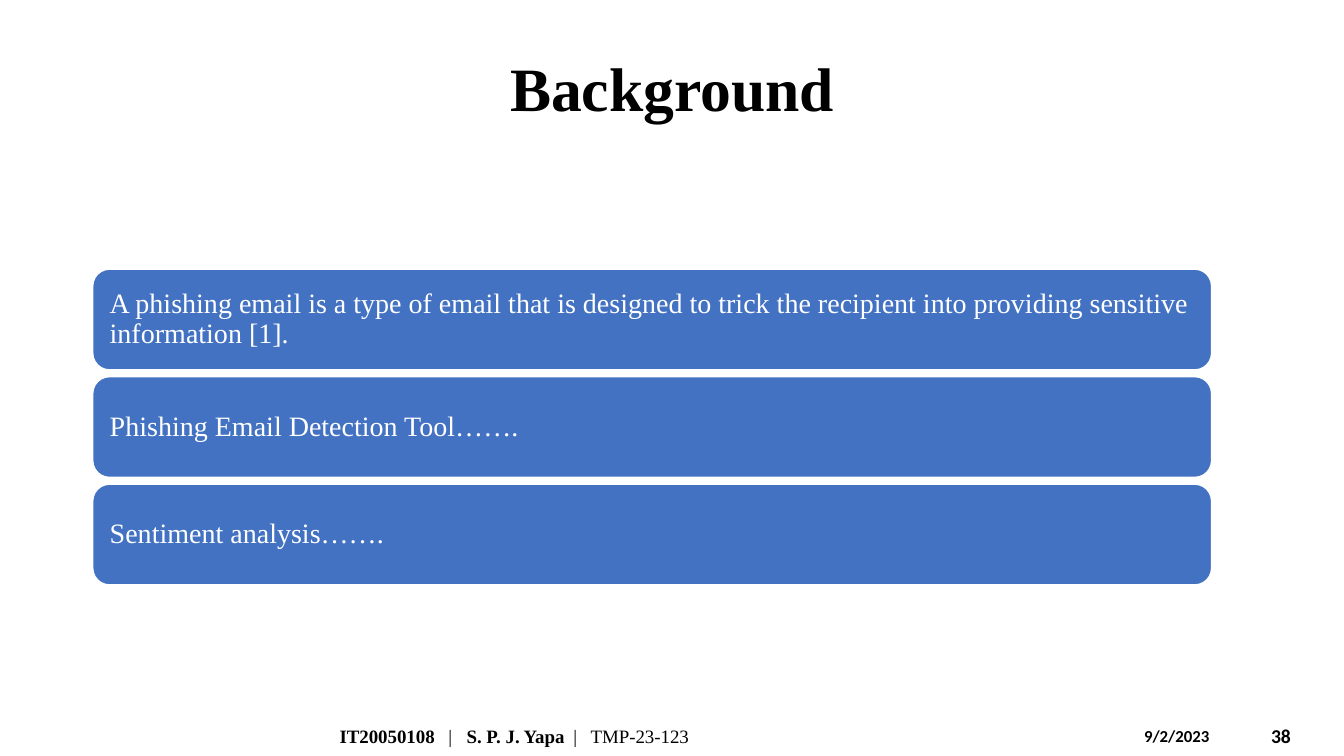
from dataclasses import dataclass

import pptx
import pptx.dml.color
import pptx.enum.shapes
import pptx.enum.text
import pptx.oxml
import pptx.oxml.ns
import pptx.presentation
import pptx.shapes.autoshape
import pptx.slide
import pptx.util

Align = pptx.enum.text.PP_ALIGN
Anchor = pptx.enum.text.MSO_ANCHOR
Color = pptx.dml.color.RGBColor
Inches = pptx.util.Inches
Pt = pptx.util.Pt

SLIDE_WIDTH = Inches(13.33)
SLIDE_HEIGHT = Inches(7.5)


@dataclass(frozen=True)
class Theme:
    ink: Color = Color(0, 0, 0)
    paper: Color = Color(255, 255, 255)
    card: Color = Color(0x43, 0x72, 0xC3)
    serif: str = "Times New Roman"
    sans: str = "Calibri"
    title_size: float = 44
    card_size: float = 20
    number_size: float = 14
    credit_size: float = 13.5
    date_size: float = 12


THEME = Theme()


@dataclass(frozen=True)
class Area:
    """A rectangle in percent of the slide's width and height."""
    left: float
    top: float
    width: float
    height: float

    def box(self) -> tuple[int, int, int, int]:
        return (int(SLIDE_WIDTH * self.left / 100), int(SLIDE_HEIGHT * self.top / 100),
                int(SLIDE_WIDTH * self.width / 100), int(SLIDE_HEIGHT * self.height / 100))


@dataclass(frozen=True)
class Piece:
    text: str
    bold: bool = True


@dataclass(frozen=True)
class Label:
    area: Area
    pieces: tuple[Piece, ...]
    font: str
    size: float
    anchor: Anchor = Anchor.MIDDLE
    align: Align = Align.LEFT
    spacing: float = 1.0
    tabs: tuple[float, ...] = ()


LABELS = (
    Label(Area(6.9, 5.33, 86.25, 13.47), (Piece("Background"),), THEME.serif,
          THEME.title_size, align=Align.CENTER, spacing=0.9),
    Label(Area(24.53, 94.67, 55.88, 5.33),
          (Piece("IT20050108"), Piece("\t|\t", False),
           Piece("S. P. J. Yapa"), Piece("\t|\tTMP-23-123", False)),
          THEME.serif, THEME.credit_size, tabs=(1.08, 1.26, 2.32, 2.49)),
    Label(Area(84.38, 95.33, 8.78, 4), (Piece("9/2/2023"),), THEME.sans,
          THEME.date_size, anchor=Anchor.TOP),
    Label(Area(93.83, 94.67, 5.55, 5.33), (Piece("38"),), THEME.sans, THEME.number_size),
)

POINTS = (
    "A phishing email is a type of email that is designed to trick the recipient "
    "into providing sensitive information [1].",
    "Phishing Email Detection Tool…….",
    "Sentiment analysis…….",
)
FIRST_CARD = Area(6.9, 35.6, 83.25, 13.33)
CARD_PITCH = 14.22
CARD_INSET = Inches(0.12)


def add_tab_stops(paragraph, stops: tuple[float, ...]) -> None:
    """Add left tab stops, given in inches from the text edge."""
    tab_list = pptx.oxml.parse_xml(f'<a:tabLst {pptx.oxml.ns.nsdecls("a")}/>')
    for stop in stops:
        tab_list.append(pptx.oxml.parse_xml(
            f'<a:tab {pptx.oxml.ns.nsdecls("a")} pos="{Inches(stop)}" algn="l"/>'))
    paragraph._p.get_or_add_pPr().append(tab_list)


def style(paragraph, font: str, size: float, color: Color) -> None:
    paragraph.font.name = font
    paragraph.font.size = Pt(size)
    paragraph.font.color.rgb = color


def add_label(slide: pptx.slide.Slide, label: Label) -> None:
    frame = slide.shapes.add_textbox(*label.area.box()).text_frame
    frame.word_wrap = True
    frame.vertical_anchor = label.anchor
    paragraph = frame.paragraphs[0]
    paragraph.alignment = label.align
    paragraph.line_spacing = label.spacing
    if label.tabs:
        add_tab_stops(paragraph, label.tabs)
    style(paragraph, label.font, label.size, THEME.ink)
    for piece in label.pieces:
        run = paragraph.add_run()
        run.text = piece.text
        run.font.bold = piece.bold


def add_card(slide: pptx.slide.Slide, row: int, point: str) -> None:
    area = Area(FIRST_CARD.left, FIRST_CARD.top + row * CARD_PITCH,
                FIRST_CARD.width, FIRST_CARD.height)
    card: pptx.shapes.autoshape.Shape = slide.shapes.add_shape(
        pptx.enum.shapes.MSO_SHAPE.ROUNDED_RECTANGLE, *area.box())
    card.shadow.inherit = False
    card.fill.solid()
    card.fill.fore_color.rgb = THEME.card
    card.line.color.rgb = THEME.paper
    card.line.width = Pt(1)
    frame = card.text_frame
    frame.word_wrap = True
    frame.vertical_anchor = Anchor.MIDDLE
    frame.margin_left = frame.margin_right = CARD_INSET
    frame.margin_top = frame.margin_bottom = CARD_INSET
    paragraph = frame.paragraphs[0]
    paragraph.text = point
    paragraph.alignment = Align.LEFT
    paragraph.line_spacing = 0.9
    style(paragraph, THEME.serif, THEME.card_size, THEME.paper)


def main() -> None:
    deck = pptx.Presentation()
    deck.slide_width, deck.slide_height = SLIDE_WIDTH, SLIDE_HEIGHT
    slide = deck.slides.add_slide(deck.slide_layouts[6])
    for label in LABELS:
        add_label(slide, label)
    for row, point in enumerate(POINTS):
        add_card(slide, row, point)
    deck.save("out.pptx")


if __name__ == "__main__":
    main()
